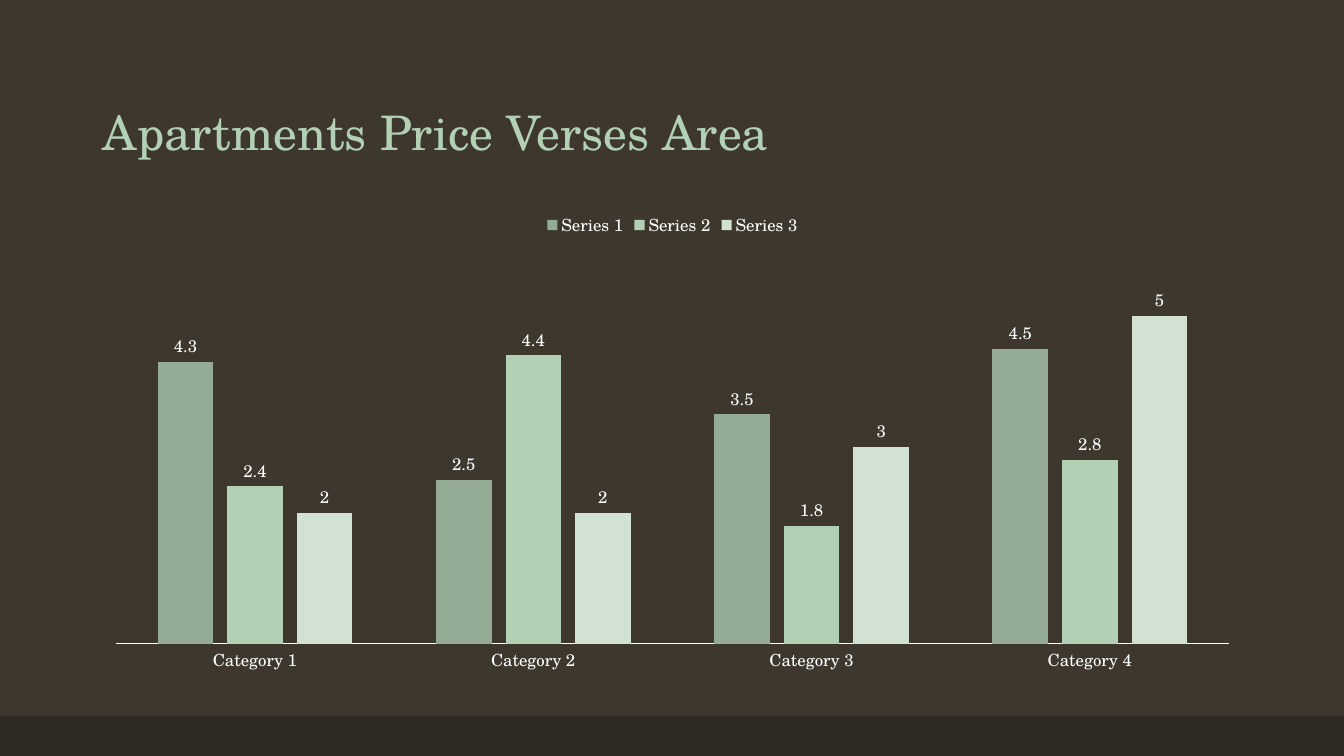
from pptx import Presentation
from pptx import util as u
from pptx.chart.data import CategoryChartData
from pptx.dml.color import RGBColor
from pptx.enum import chart as ch, shapes, text

COLORS = {
    "background": "3D372E",
    "footer": "2E2923",
    "title": "B2D0B4",
    "text": "FFFFFF",
    "Series 1": "94AC95",
    "Series 2": "B2D0B4",
    "Series 3": "D1E2D2",
}
CATEGORIES = [f"Category {n}" for n in range(1, 5)]
SERIES = {
    "Series 1": (4.3, 2.5, 3.5, 4.5),
    "Series 2": (2.4, 4.4, 1.8, 2.8),
    "Series 3": (2, 2, 3, 5),
}


def rgb(name):
    return RGBColor.from_string(COLORS[name])


def box(*lengths):
    return [u.Inches(v) for v in lengths]


class SlideBuilder:
    font = "TeX Gyre Schola"

    def __init__(self, prs):
        self.s = prs.slides.add_slide(prs.slide_layouts[5])
        fill = self.s.background.fill
        fill.solid()
        fill.fore_color.rgb = rgb("background")

    def style(self, font, size, color="text"):
        font.name = self.font
        font.size = u.Pt(size)
        font.bold = False
        font.color.rgb = rgb(color)

    def bar(self, color, *at):
        sp = self.s.shapes.add_shape(shapes.MSO_SHAPE.RECTANGLE, *box(*at))
        sp.shadow.inherit = False
        sp.fill.solid()
        sp.fill.fore_color.rgb = rgb(color)
        sp.line.fill.background()

    def title(self, words, *at):
        sp = self.s.shapes.title
        sp.left, sp.top, sp.width, sp.height = box(*at)
        tf = sp.text_frame
        tf.text = words
        tf.word_wrap = True
        tf.auto_size = text.MSO_AUTO_SIZE.NONE
        tf.vertical_anchor = text.MSO_ANCHOR.BOTTOM
        p = tf.paragraphs[0]
        p.alignment = text.PP_ALIGN.LEFT
        p.line_spacing = 0.9
        self.style(p.runs[0].font, 34, "title")

    def column_chart(self, categories, series, *at):
        data = CategoryChartData()
        data.categories = categories
        for name, values in series.items():
            data.add_series(name, values)
        chart = self.s.shapes.add_chart(
            ch.XL_CHART_TYPE.COLUMN_CLUSTERED, *box(*at), data).chart
        self.style(chart.font, 10)
        chart.has_title = False
        chart.has_legend = True
        chart.legend.position = ch.XL_LEGEND_POSITION.TOP
        chart.legend.include_in_layout = False
        self.style(chart.legend.font, 12)

        axis = chart.category_axis
        axis.major_tick_mark = ch.XL_TICK_MARK.NONE
        axis.format.line.color.rgb = rgb("text")
        axis.format.line.width = u.Pt(0.75)
        self.style(axis.tick_labels.font, 12)
        value_axis = chart.value_axis
        value_axis.visible = False
        value_axis.has_major_gridlines = False
        value_axis.minimum_scale, value_axis.maximum_scale = 0, 6

        plot = chart.plots[0]
        plot.vary_by_categories = False
        plot.gap_width, plot.overlap = 150, -25
        for columns in plot.series:
            columns.format.fill.solid()
            columns.format.fill.fore_color.rgb = rgb(columns.name)
            labels = columns.data_labels
            labels.show_value = True
            labels.position = ch.XL_LABEL_POSITION.OUTSIDE_END
            self.style(labels.font, 12)


def main():
    prs = Presentation()
    prs.slide_width, prs.slide_height = box(13.33, 7.5)
    slide = SlideBuilder(prs)
    slide.bar("footer", 0, 7.1, 13.33, 0.4)
    slide.title("Apartments Price Verses Area", 0.92, 0.4, 11.5, 1.25)
    slide.column_chart(CATEGORIES, SERIES, 0.92, 2, 11.5, 4.76)
    prs.save("out.pptx")


if __name__ == "__main__":
    main()
